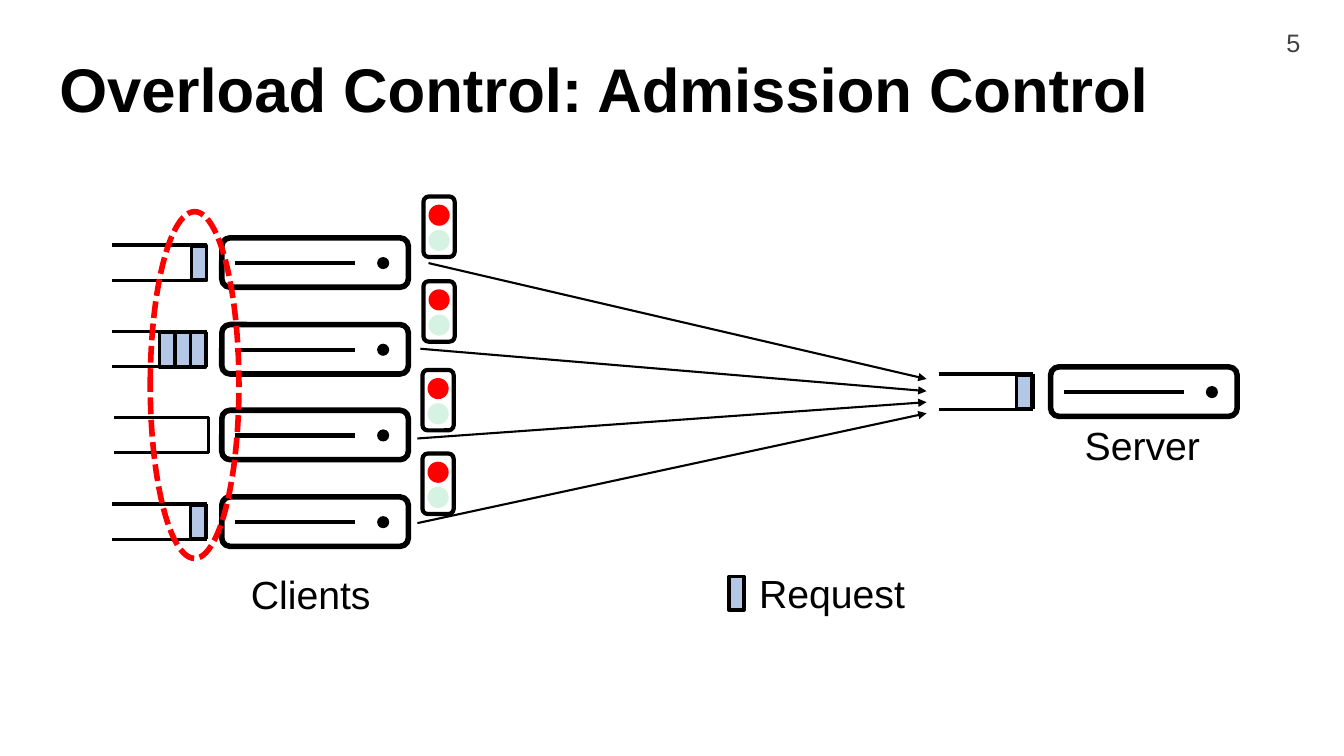
from pptx import Presentation
from pptx.dml.color import RGBColor
from pptx.enum.dml import MSO_LINE
from pptx.enum.shapes import MSO_CONNECTOR, MSO_SHAPE
from pptx.enum.text import MSO_ANCHOR, MSO_AUTO_SIZE
from pptx.oxml.ns import qn
from pptx.util import Pt
from lxml.etree import SubElement

PX = 9144  # EMU per px, 100 px to the inch
BLACK = RGBColor(0x00, 0x00, 0x00)
WHITE = RGBColor(0xFF, 0xFF, 0xFF)
GREY = RGBColor(0x40, 0x40, 0x40)
BLUE = RGBColor(0xB4, 0xC7, 0xE7)
RED = RGBColor(0xFF, 0x00, 0x00)
GREEN = RGBColor(0x00, 0xB0, 0x50)

RECT, ROUND, OVAL = MSO_SHAPE.RECTANGLE, MSO_SHAPE.ROUNDED_RECTANGLE, MSO_SHAPE.OVAL

deck = Presentation()
deck.slide_width, deck.slide_height = 1333 * PX, 750 * PX
page = deck.slides.add_slide(deck.slide_layouts[6])


def add_figure(kind, left, top, width, height, fill=None, line=None, weight=0):
    """Add a preset shape; a missing fill or line colour means none is drawn."""
    figure = page.shapes.add_shape(kind, left * PX, top * PX, width * PX, height * PX)
    figure.shadow.inherit = False
    if fill is None:
        figure.fill.background()
    else:
        figure.fill.solid()
        figure.fill.fore_color.rgb = fill
    if line is None:
        figure.line.fill.background()
    else:
        figure.line.color.rgb = line
        figure.line.width = Pt(weight)
    return figure


def add_line(x1, y1, x2, y2, weight):
    line = page.shapes.add_connector(
        MSO_CONNECTOR.STRAIGHT, x1 * PX, y1 * PX, x2 * PX, y2 * PX)
    line.line.color.rgb = BLACK
    line.line.width = Pt(weight)
    SubElement(line.element.spPr, qn("a:effectLst"))
    return line


# Machines, each with its waiting queue: left, top, queue left, lefts of requests
machines = [
    (1042, 364, 931, [1008]),
    (220, 236, 111, [190]),
    (220, 322, 111, [189, 174, 158]),
    (220, 407, 113, []),
    (220, 493, 111, [189]),
]
for left, top, queue_left, requests in machines:
    add_figure(ROUND, left, top, 185, 49, WHITE, BLACK, 4)
    add_line(left + 13, top + 25, left + 132, top + 25, 3)
    add_figure(OVAL, left + 154, top + 19, 12, 12, BLACK)

    queue_top, queue_right = top + 7, queue_left + 94
    queue_bottom = queue_top + 35
    add_line(queue_left, queue_top, queue_right, queue_top, 2.25)
    add_line(queue_left, queue_bottom, queue_right, queue_bottom, 2.25)
    add_line(queue_right, queue_top, queue_right, queue_bottom, 2.25)
    for request_left in requests:
        add_figure(RECT, request_left, queue_top + 1, 15, 34, BLUE, BLACK, 2.5)

# Legend symbol
add_figure(RECT, 723, 572, 15, 33, BLUE, BLACK, 2.5)

# Arrows from the clients to the server queue
for x, y, target_y in [(425, 261, 376), (417, 346, 388), (414, 435, 399), (414, 519, 410)]:
    arrow = add_line(x, y, 919, target_y, 1.5)
    SubElement(arrow.line._get_or_add_ln(), qn("a:tailEnd"), type="triangle")

# Highlight around the client queues
highlight = add_figure(OVAL, 149, 210, 88, 344, None, RED, 4)
highlight.line.dash_style = MSO_LINE.SQUARE_DOT

# Traffic lights
for left, top in [(420, 195), (420, 279), (419, 367), (419, 450)]:
    add_figure(ROUND, left, top, 31, 60, None, BLACK, 3)
    green_lamp = add_figure(OVAL, left + 5, top + 33, 21, 21, GREEN)
    green = green_lamp.element.spPr.find(qn("a:solidFill")).find(qn("a:srgbClr"))
    SubElement(green, qn("a:alpha"), val="16000")
    add_figure(OVAL, left + 5, top + 8, 21, 21, RED)

# Texts: wording, left, top, width, height, size, colour
texts = [
    ("Overload Control: Admission Control", 49, 40, 1150, 104, 44, BLACK),
    ("Server", 1066, 413, 136, 57, 28, BLACK),
    ("Clients", 239, 561, 140, 57, 28, BLACK),
    ("Request", 743, 560, 167, 57, 28, BLACK),
    ("5", 1266, 22, 34, 40, 18, GREY),
]
for wording, left, top, width, height, size, colour in texts:
    is_title = size == 44
    box = page.shapes.add_textbox(left * PX, top * PX, width * PX, height * PX)
    frame = box.text_frame
    frame.word_wrap = is_title
    para = frame.paragraphs[0]
    if is_title:
        frame.vertical_anchor = MSO_ANCHOR.MIDDLE
        para.line_spacing = 0.9
    else:
        frame.auto_size = MSO_AUTO_SIZE.SHAPE_TO_FIT_TEXT
    span = para.add_run()
    span.text = wording
    span.font.name = "Arial"
    span.font.size = Pt(size)
    span.font.bold = is_title
    span.font.color.rgb = colour

deck.save("out.pptx")
